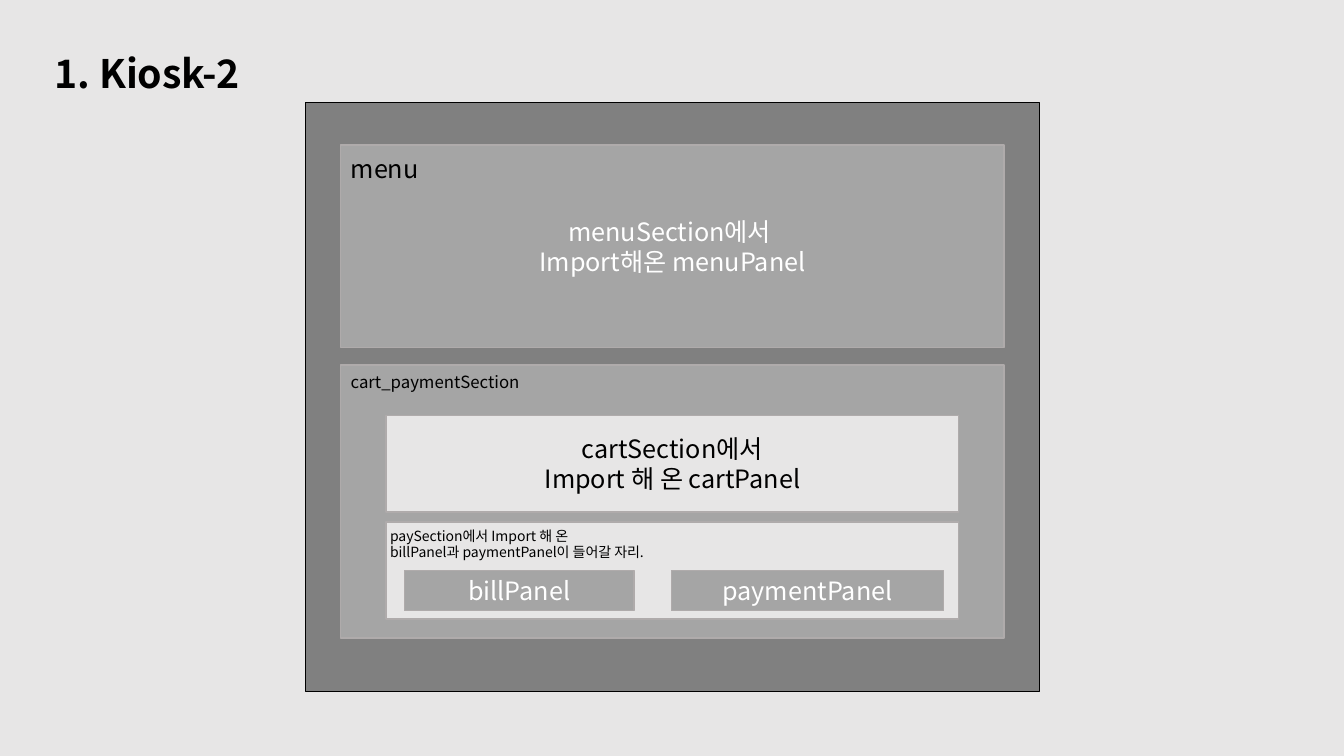
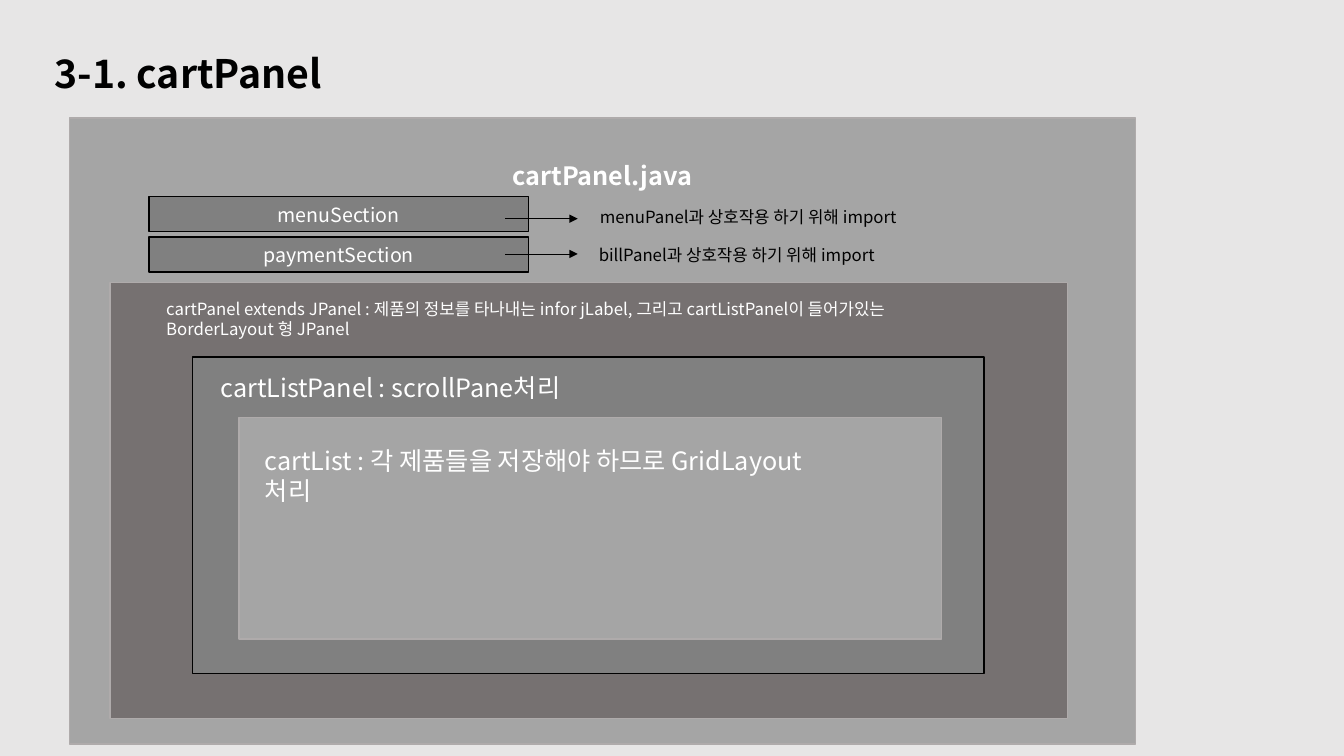
from pptx import Presentation
from pptx.dml.color import RGBColor
from pptx.enum.shapes import MSO_CONNECTOR, MSO_SHAPE
from pptx.enum.text import MSO_ANCHOR, PP_ALIGN
from pptx.oxml.ns import qn
from pptx.util import Inches, Pt
from lxml import etree

FONT = "Noto Sans CJK KR"
COLORS = {
    "page": "E7E6E6", "panel": "A5A5A5", "frame": "808080", "deep": "767171",
    "edge": "AFABAB", "black": "000000", "white": "FFFFFF",
}


def rgb(name):
    return RGBColor.from_string(COLORS[name])


def write(shape, text, size, color, align=PP_ALIGN.LEFT, anchor=MSO_ANCHOR.TOP,
          bold=False, wrap=True):
    """Fill a shape with text, one paragraph per line, in a single style."""
    frame = shape.text_frame
    frame.text = text
    frame.word_wrap = wrap
    frame.vertical_anchor = anchor
    for para in frame.paragraphs:
        para.alignment = align
        font = para.font
        font.name, font.size, font.bold = FONT, Pt(size), bold
        font.color.rgb = rgb(color)


deck = Presentation()
deck.slide_width, deck.slide_height = Inches(13.33), Inches(7.5)
background = deck.slide_master.background.fill
background.solid()
background.fore_color.rgb = rgb("page")
layout = deck.slide_layouts[5]
layout_title = layout.placeholders[0]
layout_title.left, layout_title.top = Inches(0.44), Inches(0.44)
layout_title.width, layout_title.height = Inches(6.47), Inches(0.57)

# Boxes: left, top, width, height, fill, line, centred text, size, text colour
# Labels: left, top, width, height, text, size, colour, wrap
# Arrows: left, right, height on the page
pages = [
    {
        "title": "1. Kiosk-2",
        "boxes": [
            (3.03, 1.02, 7.28, 5.84, "frame", "black", "", 18, "white"),
            (3.38, 1.44, 6.58, 2.01, "panel", "edge",
             "menuSection에서 \nImport해온 menuPanel", 18, "white"),
            (3.38, 3.62, 6.58, 2.71, "panel", "edge", "", 18, "white"),
            (3.83, 4.12, 5.68, 0.96, "page", "edge",
             "cartSection에서\nImport 해 온 cartPanel", 18, "black"),
            (3.83, 5.18, 5.68, 0.96, "page", "edge", "", 18, "black"),
            (4.01, 5.66, 2.28, 0.4, "panel", "edge", "billPanel", 18, "white"),
            (6.66, 5.66, 2.7, 0.4, "panel", "edge", "paymentPanel", 18, "white"),
        ],
        "labels": [
            (3.38, 1.47, 1.51, 0.4, "menu", 18, "black", False),
            (3.38, 3.64, 2.33, 0.3, "cart_paymentSection", 12, "black", False),
            (3.77, 5.18, 5.02, 0.45,
             "paySection에서 Import 해 온\nbillPanel과 paymentPanel이 들어갈 자리.",
             10, "black", True),
        ],
        "arrows": [],
    },
    {
        "title": "3-1. cartPanel",
        "boxes": [
            (0.69, 1.17, 10.57, 6.21, "panel", "edge", "", 18, "white"),
            (1.48, 1.95, 3.76, 0.35, "frame", "black", "menuSection", 14, "white"),
            (1.48, 2.35, 3.76, 0.35, "frame", "black", "paymentSection", 14, "white"),
            (1.09, 2.8, 9.5, 4.33, "deep", "edge", "", 18, "white"),
            (1.91, 3.54, 7.85, 3.14, "frame", "black", "", 18, "white"),
            (2.37, 4.14, 6.97, 2.2, "panel", "edge", "", 18, "white"),
        ],
        "labels": [
            (2.09, 3.64, 6.9, 0.4, "cartListPanel : scrollPane처리", 18, "white", True),
            (2.53, 4.37, 6.03, 0.89,
             "cartList : 각 제품들을 저장해야 하므로 GridLayout 처리", 18, "white", True),
            (1.55, 2.91, 7.98, 0.48,
             "cartPanel extends JPanel : 제품의 정보를 타나내는 infor jLabel, "
             "그리고 cartListPanel이 들어가있는 BorderLayout 형 JPanel",
             12, "white", True),
            (5.85, 2, 3.31, 0.3, "menuPanel과 상호작용 하기 위해 import", 12, "black", False),
            (5.84, 2.38, 3.11, 0.3, "billPanel과 상호작용 하기 위해 import", 12, "black", False),
        ],
        "arrows": [(5.01, 5.73, 2.17), (5.01, 5.73, 2.52)],
    },
]

for content in pages:
    page = deck.slides.add_slide(layout)
    write(page.shapes.title, content["title"], 28, "black",
          anchor=MSO_ANCHOR.MIDDLE, bold=True)

    boxes = []
    for left, top, width, height, fill, line, text, size, color in content["boxes"]:
        box = page.shapes.add_shape(MSO_SHAPE.RECTANGLE, Inches(left), Inches(top),
                                    Inches(width), Inches(height))
        box.shadow.inherit = False
        box.fill.solid()
        box.fill.fore_color.rgb = rgb(fill)
        box.line.color.rgb = rgb(line)
        box.line.width = Pt(1)
        if text:
            write(box, text, size, color, PP_ALIGN.CENTER, MSO_ANCHOR.MIDDLE)
        boxes.append(box)

    for left, top, width, height, text, size, color, wrap in content["labels"]:
        label = page.shapes.add_textbox(Inches(left), Inches(top),
                                        Inches(width), Inches(height))
        write(label, text, size, color, wrap=wrap)

    for left, right, level in content["arrows"]:
        arrow = page.shapes.add_connector(MSO_CONNECTOR.STRAIGHT, Inches(left),
                                          Inches(level), Inches(right), Inches(level))
        arrow.line.color.rgb = rgb("black")
        arrow.line.width = Pt(0.5)
        properties = arrow.element.spPr
        etree.SubElement(properties.find(qn("a:ln")), qn("a:tailEnd"), type="triangle")
        etree.SubElement(properties, qn("a:effectLst"))

# The file name heads the outermost box of the last page
file_box = boxes[0]
write(file_box, "cartPanel.java", 18, "white", PP_ALIGN.CENTER, bold=True)
file_box.text_frame.margin_top = Inches(0.42)

deck.save("out.pptx")
